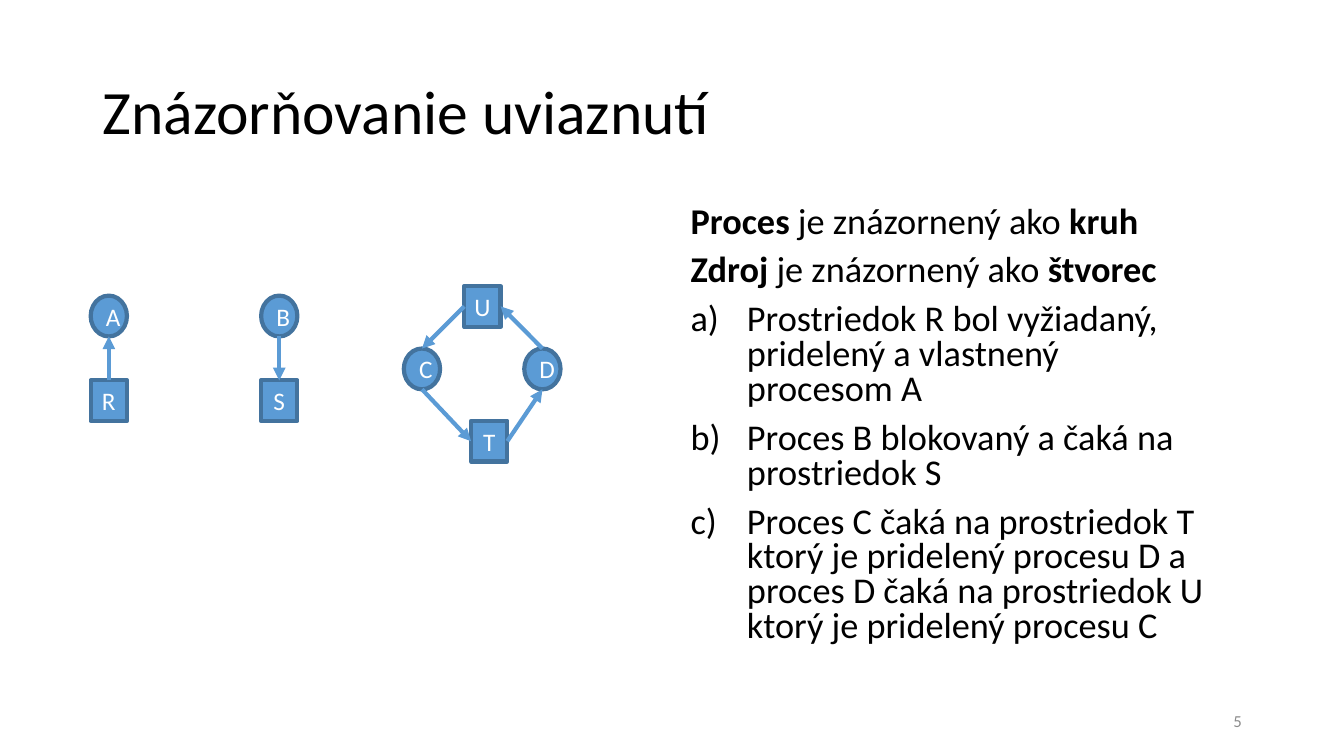
from lxml.etree import SubElement
from pptx import Presentation
from pptx.dml.color import RGBColor
from pptx.enum.shapes import MSO_CONNECTOR, MSO_SHAPE
from pptx.enum.text import MSO_ANCHOR, MSO_AUTO_SIZE, PP_ALIGN
from pptx.oxml.ns import qn
from pptx.util import Inches, Pt

FONT = "Calibri"
BLACK = RGBColor(0x00, 0x00, 0x00)
WHITE = RGBColor(0xFF, 0xFF, 0xFF)
GREY = RGBColor(0x8C, 0x8C, 0x8C)
BLUE = RGBColor(0x5B, 0x9B, 0xD5)
DARK_BLUE = RGBColor(0x43, 0x73, 0x9E)

SLIDE_WIDTH, SLIDE_HEIGHT = Inches(13.33), Inches(7.5)
NODE_WIDTH, NODE_HEIGHT = 2.7, 5.4  # percent of the slide
TOP, LEFT, BOTTOM, RIGHT = range(4)
NO_BREAK_SPACE = chr(160)

# Centres of the nodes, in percent of the slide's width and height
PROCESSES = {"A": (8.1, 41.8), "B": (20.78, 41.8), "C": (31.4, 48.8), "D": (40.36, 48.8)}
RESOURCES = {"R": (8.1, 53), "S": (20.78, 53), "T": (36.4, 58.36), "U": (35.9, 40.53)}
ARROWS = [
    ("R", TOP, "A", BOTTOM),
    ("B", BOTTOM, "S", TOP),
    ("C", BOTTOM, "T", LEFT),
    ("T", RIGHT, "D", BOTTOM),
    ("D", TOP, "U", RIGHT),
    ("U", LEFT, "C", TOP),
]

# Each definition alternates bold and regular text
DEFINITIONS = [
    ("Proces ", "je znázornený ako ", "kruh"),
    ("Zdroj ", "je znázornený ako ", "štvorec"),
]
CASES = [
    f"Prostriedok R bol vyžiadaný,{NO_BREAK_SPACE} pridelený a vlastnený "
    f"procesom{NO_BREAK_SPACE}A",
    "Proces B blokovaný a čaká na prostriedok S",
    "Proces C čaká na prostriedok T ktorý je pridelený procesu D a "
    "proces D čaká na prostriedok U ktorý je pridelený procesu C",
]


def area(left, top, width, height):
    """Turn percentages of the slide into lengths."""
    return (
        int(SLIDE_WIDTH * left / 100),
        int(SLIDE_HEIGHT * top / 100),
        int(SLIDE_WIDTH * width / 100),
        int(SLIDE_HEIGHT * height / 100),
    )


def place(shape, *shares):
    shape.left, shape.top, shape.width, shape.height = area(*shares)


def style(paragraph, size, color, alignment=PP_ALIGN.LEFT):
    paragraph.alignment = alignment
    paragraph.font.name = FONT
    paragraph.font.size = Pt(size)
    paragraph.font.color.rgb = color


def fill_title(title):
    place(title, 6.88, 5.4, 86.25, 19.4)
    title.text_frame.text = "Znázorňovanie uviaznutí"
    title.text_frame.vertical_anchor = MSO_ANCHOR.MIDDLE
    paragraph = title.text_frame.paragraphs[0]
    style(paragraph, 44, BLACK)
    paragraph.line_spacing = 0.9


def set_bullet(paragraph, numbered):
    properties = paragraph._p.get_or_add_pPr()
    indent = Inches(0.56) if numbered else 0
    properties.set("marL", str(indent))
    properties.set("indent", str(-indent))
    if numbered:
        SubElement(properties, qn("a:buFont"), typeface="+mj-lt")
        SubElement(properties, qn("a:buAutoNum"), type="alphaLcParenR")
    else:
        SubElement(properties, qn("a:buNone"))


def fill_body(body):
    place(body, 50.63, 26.62, 42.5, 63.45)
    frame = body.text_frame
    frame.auto_size = MSO_AUTO_SIZE.NONE
    entries = DEFINITIONS + [(case,) for case in CASES]
    for index, pieces in enumerate(entries):
        paragraph = frame.add_paragraph() if index else frame.paragraphs[0]
        numbered = len(pieces) == 1
        for position, piece in enumerate(pieces):
            run = paragraph.add_run()
            run.text = piece
            run.font.bold = not numbered and position % 2 == 0
        paragraph.line_spacing = 0.8
        paragraph.space_before = Pt(10)
        paragraph.space_after = Pt(0)
        set_bullet(paragraph, numbered)
        style(paragraph, 25.9, BLACK)


def add_node(slide, preset, name, center):
    column, row = center
    node = slide.shapes.add_shape(
        preset,
        *area(column - NODE_WIDTH / 2, row - NODE_HEIGHT / 2, NODE_WIDTH, NODE_HEIGHT),
    )
    node.shadow.inherit = False
    node.fill.solid()
    node.fill.fore_color.rgb = BLUE
    node.line.color.rgb = DARK_BLUE
    node.line.width = Pt(3)
    node.text_frame.text = name
    style(node.text_frame.paragraphs[0], 18, WHITE, PP_ALIGN.CENTER)
    return node


def side_middle(node, side):
    across = {LEFT: 0, RIGHT: node.width}.get(side, node.width // 2)
    down = {TOP: 0, BOTTOM: node.height}.get(side, node.height // 2)
    return node.left + across, node.top + down


def add_arrow(slide, start, start_side, end, end_side):
    arrow = slide.shapes.add_connector(
        MSO_CONNECTOR.STRAIGHT, *side_middle(start, start_side), *side_middle(end, end_side)
    )
    # Rectangles number their sides 0 to 3; circles share only the top site
    if start.auto_shape_type == MSO_SHAPE.RECTANGLE or start_side == TOP:
        arrow.begin_connect(start, start_side)
    if end.auto_shape_type == MSO_SHAPE.RECTANGLE or end_side == TOP:
        arrow.end_connect(end, end_side)
    arrow.line.color.rgb = BLUE
    arrow.line.width = Pt(3)
    SubElement(arrow.line._get_or_add_ln(), qn("a:tailEnd"), type="triangle")
    SubElement(arrow._element.spPr, qn("a:effectLst"))


def add_slide_number(slide, number):
    box = slide.shapes.add_textbox(*area(70.65, 92.67, 22.5, 5.3))
    box.text_frame.word_wrap = True
    box.text_frame.vertical_anchor = MSO_ANCHOR.MIDDLE
    box.text_frame.text = number
    style(box.text_frame.paragraphs[0], 12, GREY, PP_ALIGN.RIGHT)


def main():
    presentation = Presentation()
    presentation.slide_width, presentation.slide_height = SLIDE_WIDTH, SLIDE_HEIGHT
    slide = presentation.slides.add_slide(presentation.slide_layouts[1])

    # Text
    fill_title(slide.shapes.title)
    fill_body(slide.placeholders[1])
    add_slide_number(slide, "5")

    # Resource graphs: circles are processes, squares are resources
    nodes = {}
    for preset, centers in ((MSO_SHAPE.OVAL, PROCESSES), (MSO_SHAPE.RECTANGLE, RESOURCES)):
        for name, center in centers.items():
            nodes[name] = add_node(slide, preset, name, center)
    for start, start_side, end, end_side in ARROWS:
        add_arrow(slide, nodes[start], start_side, nodes[end], end_side)

    presentation.save("out.pptx")


if __name__ == "__main__":
    main()
